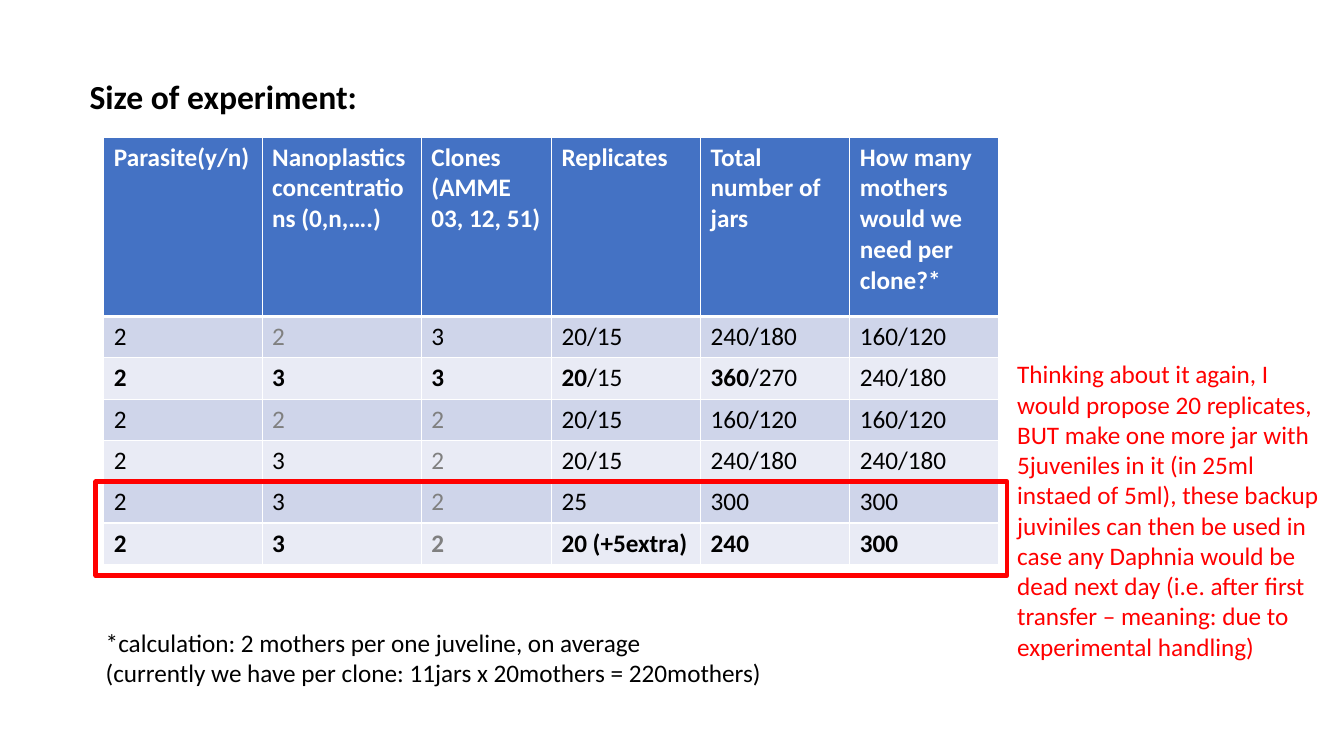
"""Build the experiment size slide with its table of jar and mother counts."""
from lxml.etree import SubElement
from pptx import Presentation
from pptx.dml.color import RGBColor
from pptx.enum.shapes import MSO_SHAPE
from pptx.oxml.ns import qn
from pptx.util import Inches, Pt

COLORS = {
    "white": "FFFFFF", "black": "000000", "gray": "808080", "red": "FF0000",
    "header": "4472C4", "odd": "CFD5EA", "even": "E9EBF5",
}


def color(name):
    return RGBColor.from_string(COLORS[name])


def write(text_frame, text, size=18, ink="black", wrap=True):
    """Write one paragraph per line; the part of a line before a bar is bold."""
    text_frame.word_wrap = wrap
    for index, line in enumerate(text.split("\n")):
        paragraph = text_frame.paragraphs[0] if index == 0 else text_frame.add_paragraph()
        strong, _, regular = line.rpartition("|")
        for part, bold in ((strong, True), (regular, False)):
            if part:
                run = paragraph.add_run()
                run.text = part
                run.font.name = "Calibri"
                run.font.size = Pt(size)
                run.font.bold = bold
                run.font.color.rgb = color(ink)


presentation = Presentation()
presentation.slide_width = Inches(13.33)
presentation.slide_height = Inches(7.5)
slide = presentation.slides.add_slide(presentation.slide_layouts[6])

rows = [
    ["Parasite(y/n)|", "Nanoplastics concentrations (0,n,….)|", "Clones (AMME 03, 12, 51)|",
     "Replicates|", "Total number of jars|", "How many mothers would we need per clone?*|"],
    ["2", "2", "3", "20/15", "240/180", "160/120"],
    ["2|", "3|", "3|", "20|/15", "360|/270", "240/180"],
    ["2", "2", "2", "20/15", "160/120", "160/120"],
    ["2", "3", "2", "20/15", "240/180", "240/180"],
    ["2", "3", "2", "25", "300", "300"],
    ["2|", "3|", "2|", "20 (+5extra)|", "240|", "300|"],
]
column_widths = [1.57, 1.58, 1.29, 1.48, 1.48, 1.48]
row_heights = [1.78] + [0.41] * 6

table = slide.shapes.add_table(
    len(rows), len(column_widths), Inches(1.03), Inches(1.36),
    Inches(sum(column_widths)), Inches(sum(row_heights))).table
for column, width in zip(table.columns, column_widths):
    column.width = Inches(width)
for row, height in zip(table.rows, row_heights):
    row.height = Inches(height)

for row_index, row in enumerate(rows):
    for column_index, text in enumerate(row):
        cell = table.cell(row_index, column_index)
        properties = cell._tc.get_or_add_tcPr()
        for side in ("L", "R", "T", "B"):
            heavy = (row_index, side) in ((0, "B"), (1, "T"))
            border = SubElement(properties, qn(f"a:ln{side}"), w=str(Pt(3 if heavy else 1)))
            border_fill = SubElement(border, qn("a:solidFill"))
            SubElement(border_fill, qn("a:srgbClr"), val=COLORS["white"])
        if row_index == 0:
            fill, ink = "header", "white"
        else:
            fill = "odd" if row_index % 2 else "even"
            ink = "gray" if column_index in (1, 2) and text.startswith("2") else "black"
        cell.fill.solid()
        cell.fill.fore_color.rgb = color(fill)
        write(cell.text_frame, text, ink=ink)

highlight = slide.shapes.add_shape(
    MSO_SHAPE.RECTANGLE, Inches(0.95), Inches(4.78), Inches(9.04), Inches(0.93))
highlight.shadow.inherit = False
highlight.fill.background()
highlight.line.color.rgb = color("red")
highlight.line.width = Pt(3.25)

calculation = (
    "*calculation: 2 mothers per one juveline, on average\n"
    "(currently we have per clone: 11jars x 20mothers = 220mothers)")
proposal = (
    "Thinking about it again, I would propose 20 replicates, BUT make one more jar with "
    "5juveniles in it (in 25ml instaed of 5ml), these backup juviniles can then be used in "
    "case any Daphnia would be dead next day (i.e. after first transfer – meaning: due to "
    "experimental handling)")
text_boxes = [
    ((0.79, 0.7, 2.88, 0.5), "Size of experiment:|", {"size": 24, "wrap": False}),
    ((0.95, 6.17, 6.78, 0.71), calculation, {"wrap": False}),
    ((9.99, 3.51, 3.34, 3.13), proposal, {"ink": "red"}),
]
for place, text, text_format in text_boxes:
    text_box = slide.shapes.add_textbox(*[Inches(length) for length in place])
    write(text_box.text_frame, text, **text_format)

presentation.save("out.pptx")
